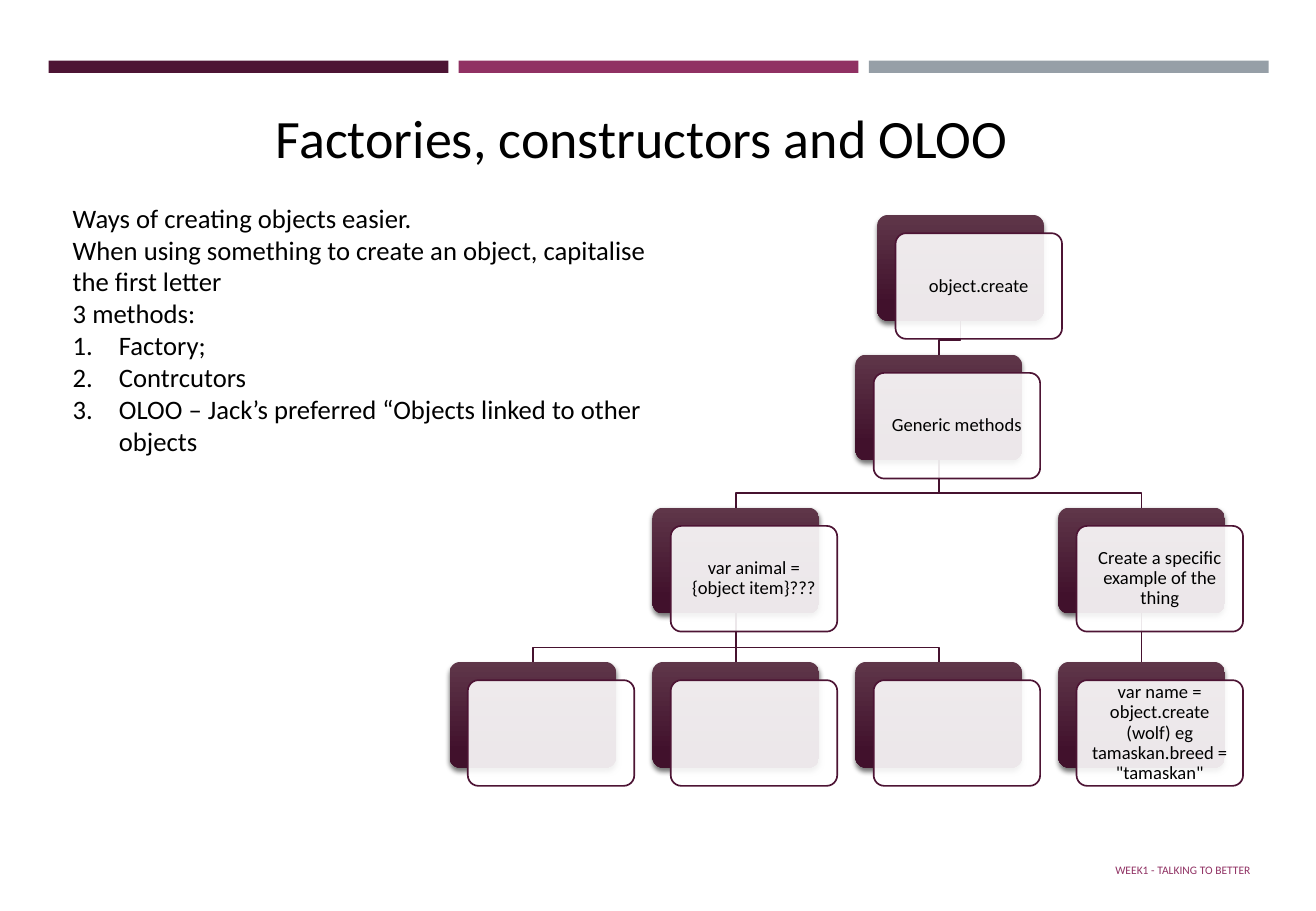
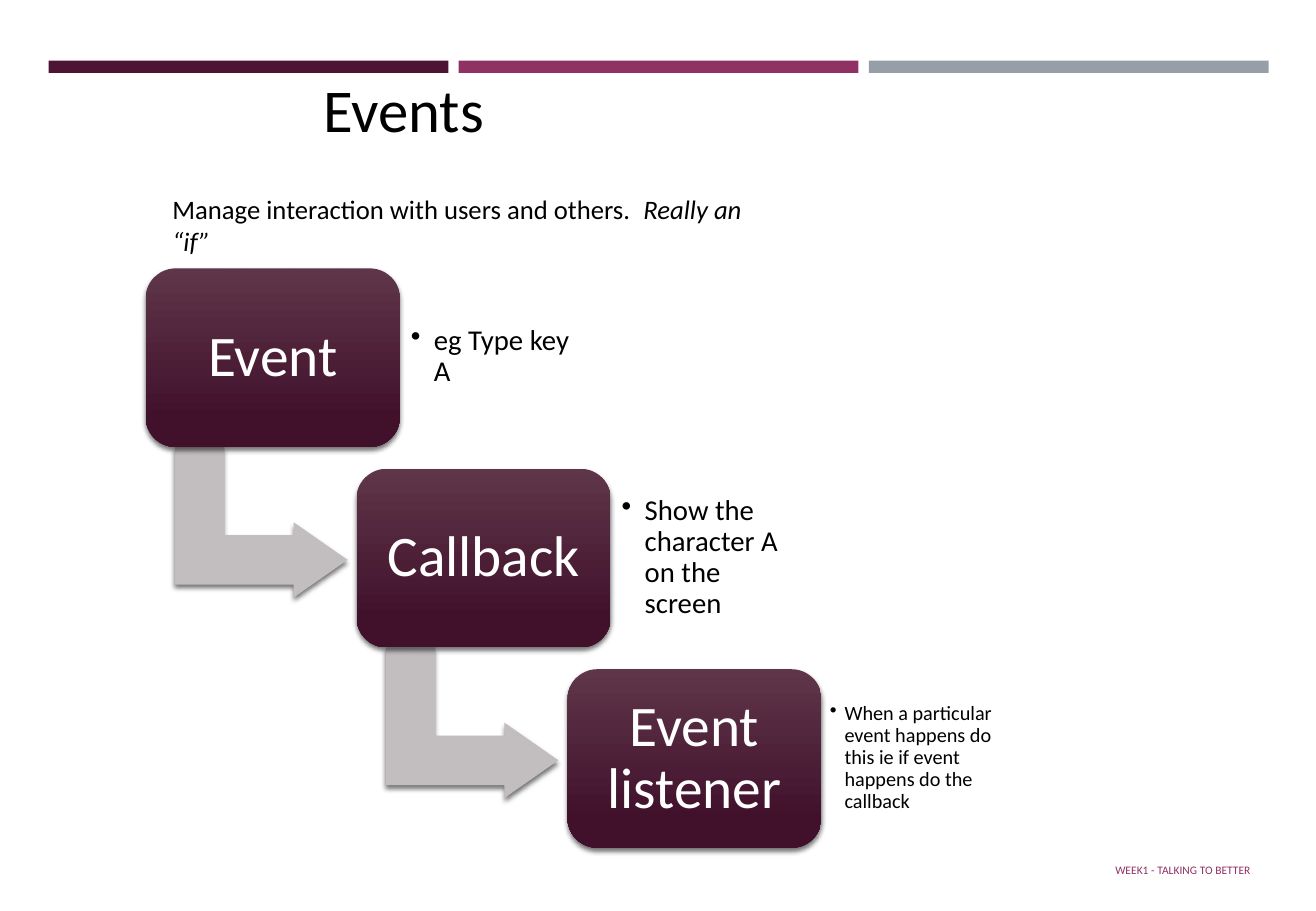
"""Build two slides on object creation and events."""
from dataclasses import dataclass
from typing import Optional

from lxml.etree import SubElement
from pptx import Presentation
from pptx.dml.color import RGBColor
from pptx.enum.shapes import MSO_CONNECTOR, MSO_SHAPE
from pptx.enum.text import MSO_ANCHOR, MSO_AUTO_SIZE, PP_ALIGN
from pptx.oxml.ns import qn
from pptx.shapes.autoshape import Shape
from pptx.slide import Slide
from pptx.text.text import TextFrame
from pptx.util import Inches, Pt

FONT = "Calibri"
BLACK, WHITE = "000000", "FFFFFF"
PLUM, BERRY, SLATE = "4D1434", "903163", "969FA7"
CARD_TOP, CARD_BOTTOM = "5F3649", "41112C"
BRANCH, ARROW = "46122F", "C2BDBF"
BODY_SIZE = 15.8

NODE_WIDTH, NODE_HEIGHT = 1.37, 0.87
FRONT_OFFSET = 0.15
BRANCH_DROP = 0.12
COLUMNS = [3.7 + 1.67 * column for column in range(4)]
ROWS = [1.77, 2.92, 4.18, 5.45]

STEP_WIDTH, STEP_HEIGHT = 2.09, 1.47


@dataclass(frozen=True)
class Box:
    """A rectangle in inches."""

    left: float
    top: float
    width: float
    height: float

    def lengths(self) -> tuple:
        """Return the four sides as lengths."""
        return tuple(Inches(value) for value in (self.left, self.top, self.width, self.height))


@dataclass(frozen=True)
class Node:
    """A card of the object tree."""

    left: float
    top: float
    text: str = ""
    parent: Optional["Node"] = None

    @property
    def centre(self) -> float:
        """Return the horizontal middle of the card."""
        return self.left + NODE_WIDTH / 2


@dataclass(frozen=True)
class Step:
    """A card of the event staircase with its remark."""

    name: str
    remark: str
    size: float = 17
    inset: float = 0.09
    indent: float = 0.19


ROOT = Node(7.22, ROWS[0], "object.create")
GENERIC = Node(COLUMNS[2], ROWS[1], "Generic methods", ROOT)
ANIMAL = Node(COLUMNS[1], ROWS[2], "var animal = {object item}???", GENERIC)
EXAMPLE = Node(COLUMNS[3], ROWS[2], "Create a specific example of the thing", GENERIC)
WOLF = Node(COLUMNS[3], ROWS[3],
            'var name = object.create (wolf) eg tamaskan.breed = "tamaskan"', EXAMPLE)
EMPTY_NODES = [Node(left, ROWS[3], parent=ANIMAL) for left in COLUMNS[:3]]
NODES = [ROOT, GENERIC, ANIMAL, *EMPTY_NODES, EXAMPLE, WOLF]

STEPS = [
    Step("Event", "eg Type key A"),
    Step("Callback", "Show the character A on the screen"),
    Step("Event listener",
         "When a particular event happens do this ie if event happens do the callback",
         12, 0.07, 0.12),
]

INTRODUCTION = [
    "Ways of creating objects easier.",
    "When using something to create an object, capitalise the first letter",
    "3 methods:",
]
METHODS = ["Factory;", "Contrcutors", "OLOO – Jack’s preferred “Objects linked to other objects"]


def colour(value: str) -> RGBColor:
    """Turn a hex string into a colour."""
    return RGBColor.from_string(value)


def format_text(frame: TextFrame, size: float, text_colour: str = BLACK,
                alignment: PP_ALIGN = PP_ALIGN.LEFT, line_spacing: float = 1.0) -> None:
    """Format every paragraph and run of a frame."""
    for paragraph in frame.paragraphs:
        paragraph.alignment = alignment
        paragraph.line_spacing = line_spacing
        for run in paragraph.runs:
            run.font.name = FONT
            run.font.size = Pt(size)
            run.font.color.rgb = colour(text_colour)


def set_frame(frame: TextFrame, anchor: MSO_ANCHOR, inset: Optional[float] = None) -> None:
    """Set wrapping, anchor and insets of a frame."""
    frame.word_wrap = True
    frame.auto_size = MSO_AUTO_SIZE.NONE
    frame.vertical_anchor = anchor
    if inset is not None:
        frame.margin_left = frame.margin_right = Inches(inset)
        frame.margin_top = frame.margin_bottom = Inches(inset)


def add_text(slide: Slide, box: Box, text: str, anchor: MSO_ANCHOR = MSO_ANCHOR.TOP,
             inset: Optional[float] = None) -> TextFrame:
    """Add a wrapping text box and return its frame."""
    frame = slide.shapes.add_textbox(*box.lengths()).text_frame
    set_frame(frame, anchor, inset)
    frame.text = text
    return frame


def add_marker(paragraph, indent: float, tag: str, **attributes: str) -> None:
    """Give a paragraph a hanging bullet or number."""
    properties = paragraph._p.get_or_add_pPr()
    properties.set("marL", str(Inches(indent)))
    properties.set("indent", str(-Inches(indent)))
    SubElement(properties, qn(tag), attributes)


def add_figure(slide: Slide, kind: MSO_SHAPE, box: Box, fill: str = "") -> Shape:
    """Add a preset shape with no line or shadow, in one colour or the card gradient."""
    shape = slide.shapes.add_shape(kind, *box.lengths())
    shape.shadow.inherit = False
    shape.line.fill.background()
    if fill:
        shape.fill.solid()
        shape.fill.fore_color.rgb = colour(fill)
    else:
        shape.fill.gradient()
        shape.fill.gradient_angle = 270
        for stop, position, value in zip(shape.fill.gradient_stops, (0, 0.84),
                                         (CARD_TOP, CARD_BOTTOM)):
            stop.position = position
            stop.color.rgb = colour(value)
    return shape


def add_shadow(shape: Shape) -> None:
    """Drop a soft shadow below a shape."""
    effects = shape.element.spPr.find(qn("a:effectLst"))
    shadow = SubElement(effects, qn("a:outerShdw"), {
        "blurRad": str(Pt(3)), "dist": str(Pt(2)), "dir": "5400000", "rotWithShape": "0"})
    shade = SubElement(shadow, qn("a:srgbClr"), {"val": BLACK})
    SubElement(shade, qn("a:alpha"), {"val": "55000"})


def add_card(slide: Slide, box: Box, corner: float) -> Shape:
    """Add a shaded rounded card."""
    card = add_figure(slide, MSO_SHAPE.ROUNDED_RECTANGLE, box)
    card.adjustments[0] = corner
    add_shadow(card)
    return card


def add_slide(presentation: Presentation, title: str, title_box: Box, size: float) -> Slide:
    """Add a slide with bands, footer and title."""
    slide = presentation.slides.add_slide(presentation.slide_layouts[5])
    for index, fill in enumerate((PLUM, BERRY, SLATE)):
        add_figure(slide, MSO_SHAPE.RECTANGLE, Box(0.4 + 3.375 * index, 0.5, 3.29, 0.1), fill)
    footer = add_text(slide, Box(9.08, 7, 1.57, 0.32), "WEEK1 - TALKING TO BETTER",
                      MSO_ANCHOR.MIDDLE)
    format_text(footer, 6.8, BERRY)
    heading = slide.shapes.title
    heading.left, heading.top, heading.width, heading.height = title_box.lengths()
    set_frame(heading.text_frame, MSO_ANCHOR.TOP)
    heading.text_frame.text = title
    format_text(heading.text_frame, size)
    return slide


def add_branch(slide: Slide, parent: Node, child: Node) -> None:
    """Join a parent card to a child card."""
    start = Inches(parent.centre), Inches(parent.top + NODE_HEIGHT)
    end = Inches(child.centre), Inches(child.top)
    if start[0] == end[0]:
        branch = slide.shapes.add_connector(MSO_CONNECTOR.STRAIGHT, *start, *end)
    else:
        bend = Inches(child.top - BRANCH_DROP)
        builder = slide.shapes.build_freeform(*start)
        builder.add_line_segments([(start[0], bend), (end[0], bend), end], close=False)
        branch = builder.convert_to_shape()
        branch.fill.background()
    branch.line.color.rgb = colour(BRANCH)
    branch.line.width = Pt(1)
    SubElement(branch.element.spPr, qn("a:effectLst"))


def add_node(slide: Slide, node: Node) -> None:
    """Add a tree card with its translucent front."""
    add_card(slide, Box(node.left, node.top, NODE_WIDTH, NODE_HEIGHT), 0.1)
    front = add_figure(slide, MSO_SHAPE.ROUNDED_RECTANGLE,
                       Box(node.left + FRONT_OFFSET, node.top + FRONT_OFFSET,
                           NODE_WIDTH, NODE_HEIGHT), WHITE)
    front.adjustments[0] = 0.1
    front.line.color.rgb = colour(PLUM)
    front.line.width = Pt(1)
    solid = front.element.spPr.find(qn("a:solidFill"))
    SubElement(solid[0], qn("a:alpha"), {"val": "90000"})
    if node.text:
        set_frame(front.text_frame, MSO_ANCHOR.MIDDLE, 0.05)
        front.text_frame.text = node.text
        format_text(front.text_frame, 11, BLACK, PP_ALIGN.CENTER, 0.9)


def add_step(slide: Slide, index: int, step: Step) -> None:
    """Add a stair card, its remark and the arrow to the next card."""
    left, top = 1.2 + 1.735 * index, 2.21 + 1.65 * index
    if index < len(STEPS) - 1:
        arrow = add_figure(slide, MSO_SHAPE.BENT_UP_ARROW,
                           Box(left + 0.33, top + 1.38, 1.24, 1.42), ARROW)
        arrow.rotation = 90
        for position, value in enumerate((0.328, 0.25, 0.358)):
            arrow.adjustments[position] = value
        add_shadow(arrow)
    card = add_card(slide, Box(left, top, STEP_WIDTH, STEP_HEIGHT), 0.167)
    set_frame(card.text_frame, MSO_ANCHOR.MIDDLE, 0.14)
    card.text_frame.text = step.name
    format_text(card.text_frame, 34, WHITE, PP_ALIGN.CENTER, 0.9)
    remark = add_text(slide, Box(left + STEP_WIDTH, top + 0.14, 1.52, 1.18), step.remark,
                      MSO_ANCHOR.MIDDLE, step.inset)
    add_marker(remark.paragraphs[0], step.indent, "a:buChar", char="•")
    format_text(remark, step.size, line_spacing=0.9)


def build_factories(presentation: Presentation) -> None:
    """Build the slide on ways of creating objects."""
    slide = add_slide(presentation, "Factories, constructors and OLOO",
                      Box(2.17, 0.81, 6.6, 0.64), 32)
    body = add_text(slide, Box(0.5, 1.61, 4.99, 2.5), "\n".join(INTRODUCTION + METHODS))
    for paragraph in body.paragraphs[len(INTRODUCTION):]:
        add_marker(paragraph, 0.38, "a:buAutoNum", type="arabicPeriod")
    format_text(body, BODY_SIZE)
    for node in NODES:
        if node.parent:
            add_branch(slide, node.parent, node)
    for node in NODES:
        add_node(slide, node)


def build_events(presentation: Presentation) -> None:
    """Build the slide on events."""
    slide = add_slide(presentation, "Events", Box(2.56, 0.54, 6.22, 1.24), 36)
    summary = add_text(slide, Box(1.32, 1.54, 5, 0.37),
                       "Manage interaction with users and others.  ")
    aside = summary.paragraphs[0].add_run()
    aside.text = "Really an “if”"
    aside.font.italic = True
    format_text(summary, BODY_SIZE)
    for index, step in enumerate(STEPS):
        add_step(slide, index, step)


def main() -> None:
    """Build and save the presentation."""
    presentation = Presentation()
    presentation.slide_width, presentation.slide_height = Inches(10.83), Inches(7.5)
    build_factories(presentation)
    build_events(presentation)
    presentation.save("out.pptx")


if __name__ == "__main__":
    main()
